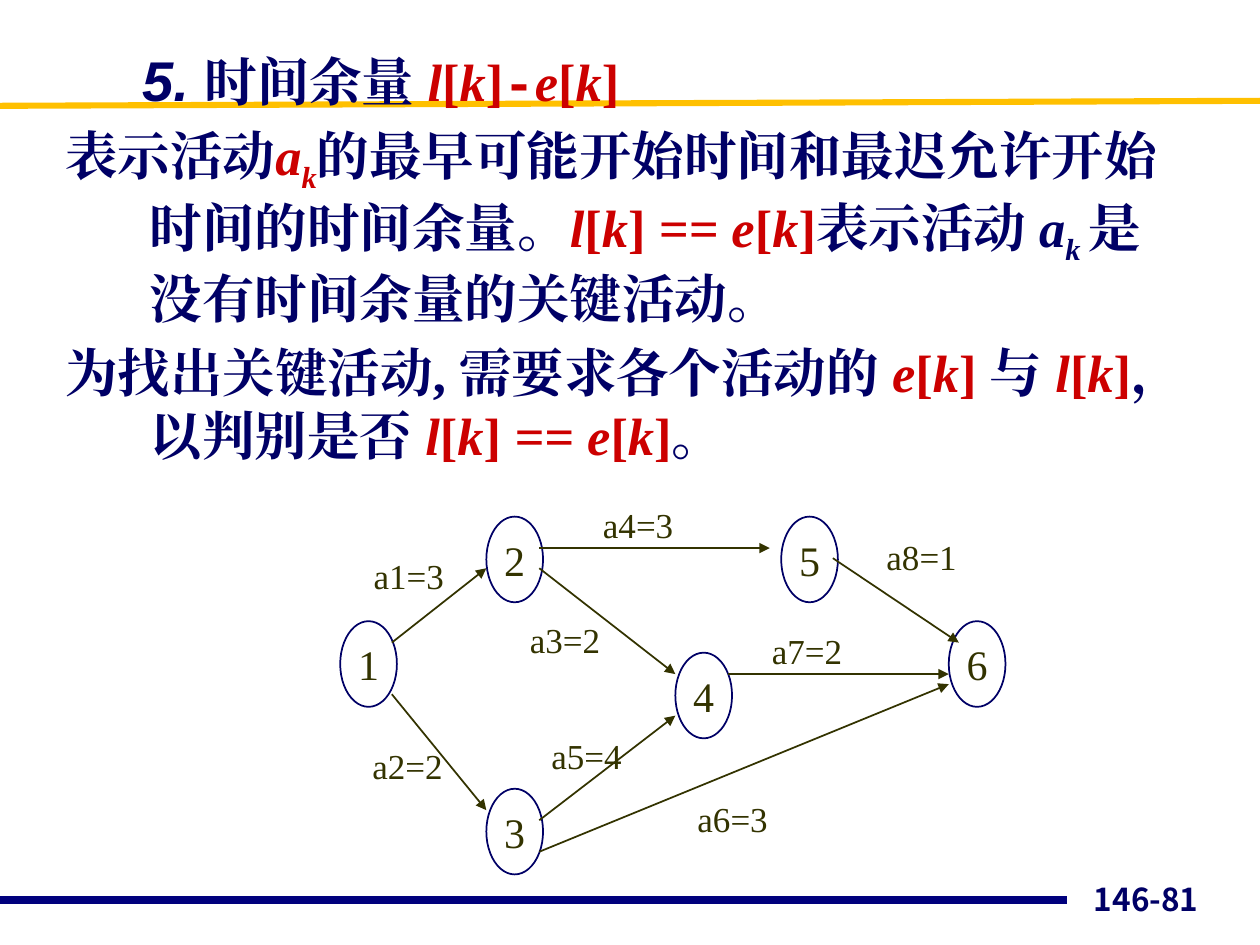
from dataclasses import dataclass

from pptx import Presentation
from pptx.dml.color import RGBColor
from pptx.enum.shapes import MSO_CONNECTOR, MSO_SHAPE
from pptx.enum.text import MSO_ANCHOR, PP_ALIGN
from pptx.oxml.ns import qn
from pptx.util import Inches, Pt


@dataclass(frozen=True)
class Theme:
    navy: str = "000066"
    red: str = "CC0000"
    olive: str = "333300"
    gold: str = "FFC000"
    footer_blue: str = "00007D"
    serif: str = "Times New Roman"
    sans: str = "Arial"
    mono: str = "Courier New"
    cjk: str = "Noto Sans CJK JP"
    heading: int = 32
    body: int = 30
    node: int = 24
    label: int = 20
    footer: int = 18


T = Theme()
NODE_W, NODE_H = 0.45, 0.68
LABEL_W, LABEL_H = 0.77, 0.43

# Activity graph: node and label positions, arrow end points
NODES = {"1": (2.7, 4.93), "2": (3.86, 4.1), "3": (3.86, 6.26),
         "4": (5.36, 5.18), "5": (6.2, 4.1), "6": (7.53, 4.93)}
ARROWS = [(3.11, 5.1, 3.86, 4.51), (3.11, 5.51, 3.86, 6.43),
          (4.28, 4.35, 6.11, 4.35), (4.28, 4.51, 5.36, 5.35),
          (4.28, 6.51, 5.36, 5.68), (4.28, 6.76, 7.53, 5.43),
          (5.78, 5.35, 7.53, 5.35), (6.61, 4.43, 7.61, 5.1)]
LABELS = {"a1=3": (2.86, 4.35), "a2=2": (2.85, 5.86), "a3=2": (4.1, 4.86),
          "a4=3": (4.68, 3.95), "a5=4": (4.27, 5.78), "a6=3": (5.43, 6.28),
          "a7=2": (6.02, 4.95), "a8=1": (6.93, 4.2)}


def add_run(p, text, size=T.body, color=T.navy, font=T.serif,
            bold=True, italic=False, sub=False):
    r = p.add_run()
    r.text = text
    f = r.font
    f.size, f.name, f.bold, f.italic = Pt(size), font, bold, italic
    f.color.rgb = RGBColor.from_string(color)
    ea = r._r.get_or_add_rPr().makeelement(qn("a:ea"), {"typeface": font})
    f._element.find(qn("a:latin")).addnext(ea)
    if sub:
        f._element.set("baseline", "-25000")


def add_index(p, name, close="]"):
    """Write name[k] in red, with the letters in italics."""
    for text, italic in ((name, True), ("[", False), ("k", True), (close, False)):
        add_run(p, text, color=T.red, italic=italic)


def add_equality(p):
    add_index(p, "l", "] ")
    add_index(p, "== e")


def add_activity(p, color, subscript="k"):
    add_run(p, "a", color=color, italic=True)
    add_run(p, subscript, color=color, italic=True, sub=True)


def set_indent(p, left, first):
    pPr = p._p.get_or_add_pPr()
    pPr.set("marL", str(Inches(left)))
    pPr.set("indent", str(Inches(first)))


def add_text_box(s, x, y, w, h, wrap=False):
    tf = s.shapes.add_textbox(Inches(x), Inches(y), Inches(w), Inches(h)).text_frame
    tf.word_wrap = wrap
    return tf


def add_line(s, x1, y1, x2, y2, color, width, arrow=False):
    c = s.shapes.add_connector(MSO_CONNECTOR.STRAIGHT, Inches(x1), Inches(y1),
                               Inches(x2), Inches(y2))
    c.line.color.rgb = RGBColor.from_string(color)
    c.line.width = Pt(width)
    if arrow:
        ln = c.line._get_or_add_ln()
        ln.append(ln.makeelement(qn("a:tailEnd"), {"type": "triangle"}))
    spPr = c._element.spPr
    spPr.append(spPr.makeelement(qn("a:effectLst"), {}))


def add_node(s, text, x, y):
    sp = s.shapes.add_shape(MSO_SHAPE.OVAL, Inches(x), Inches(y),
                            Inches(NODE_W), Inches(NODE_H))
    sp.shadow.inherit = False
    sp.fill.background()
    sp.line.color.rgb = RGBColor.from_string(T.navy)
    sp.line.width = Pt(1)
    tf = sp.text_frame
    tf.word_wrap = False
    tf.vertical_anchor = MSO_ANCHOR.MIDDLE
    p = tf.paragraphs[0]
    p.alignment = PP_ALIGN.CENTER
    add_run(p, text, T.node, T.olive, bold=False)


def add_label(s, text, x, y):
    p = add_text_box(s, x, y, LABEL_W, LABEL_H).paragraphs[0]
    p.alignment = PP_ALIGN.CENTER
    add_run(p, text, T.label, T.olive, bold=False)


def add_body(s):
    tf = add_text_box(s, 0.42, 0.24, 9.08, 6.47, wrap=True)
    tf.margin_top = Inches(0.12)

    # Heading
    p = tf.paragraphs[0]
    set_indent(p, 0.61, 0)
    add_run(p, "5. ", T.heading, font=T.sans, italic=True)
    add_run(p, "时间余量 ")
    add_index(p, "l")
    add_run(p, "-", color=T.red, font=T.mono)
    add_index(p, "e")

    # Meaning of the slack
    p = tf.add_paragraph()
    add_run(p, "表示活动")
    add_activity(p, T.red)
    add_run(p, "的最早可能开始时间和最迟允许开始时间的时间余量。")
    add_equality(p)
    add_run(p, "表示活动 ")
    add_activity(p, T.navy, "k ")
    add_run(p, "是没有时间余量的关键活动。")

    # How to find key activities
    p = tf.add_paragraph()
    add_run(p, "为找出关键活动, 需要求各个活动的 ")
    add_index(p, "e", "] ")
    add_run(p, "与 ")
    add_index(p, "l")
    add_run(p, "，以判别是否 ")
    add_equality(p)
    add_run(p, "。")

    for p in tf.paragraphs[1:]:
        set_indent(p, 0.67, -0.67)
        p.space_before = Pt(6)


def add_page_number(s):
    tf = add_text_box(s, 7.28, 6.83, 2.33, 0.5, wrap=True)
    tf.vertical_anchor = MSO_ANCHOR.BOTTOM
    p = tf.paragraphs[0]
    p.alignment = PP_ALIGN.RIGHT
    add_run(p, "146-81", T.footer, font=T.cjk)


def main():
    prs = Presentation()
    prs.slide_width, prs.slide_height = Inches(10), Inches(7.5)
    s = prs.slides.add_slide(prs.slide_layouts[6])

    # Rules and page number
    add_line(s, 0, 7.14, 8.47, 7.14, T.footer_blue, 4.5)
    add_line(s, 0, 0.84, 10, 0.8, T.gold, 3.5)
    add_page_number(s)

    add_body(s)

    # Activity graph
    for text, place in NODES.items():
        add_node(s, text, *place)
    for ends in ARROWS:
        add_line(s, *ends, T.olive, 1, arrow=True)
    for text, place in LABELS.items():
        add_label(s, text, *place)

    prs.save("out.pptx")


if __name__ == "__main__":
    main()
